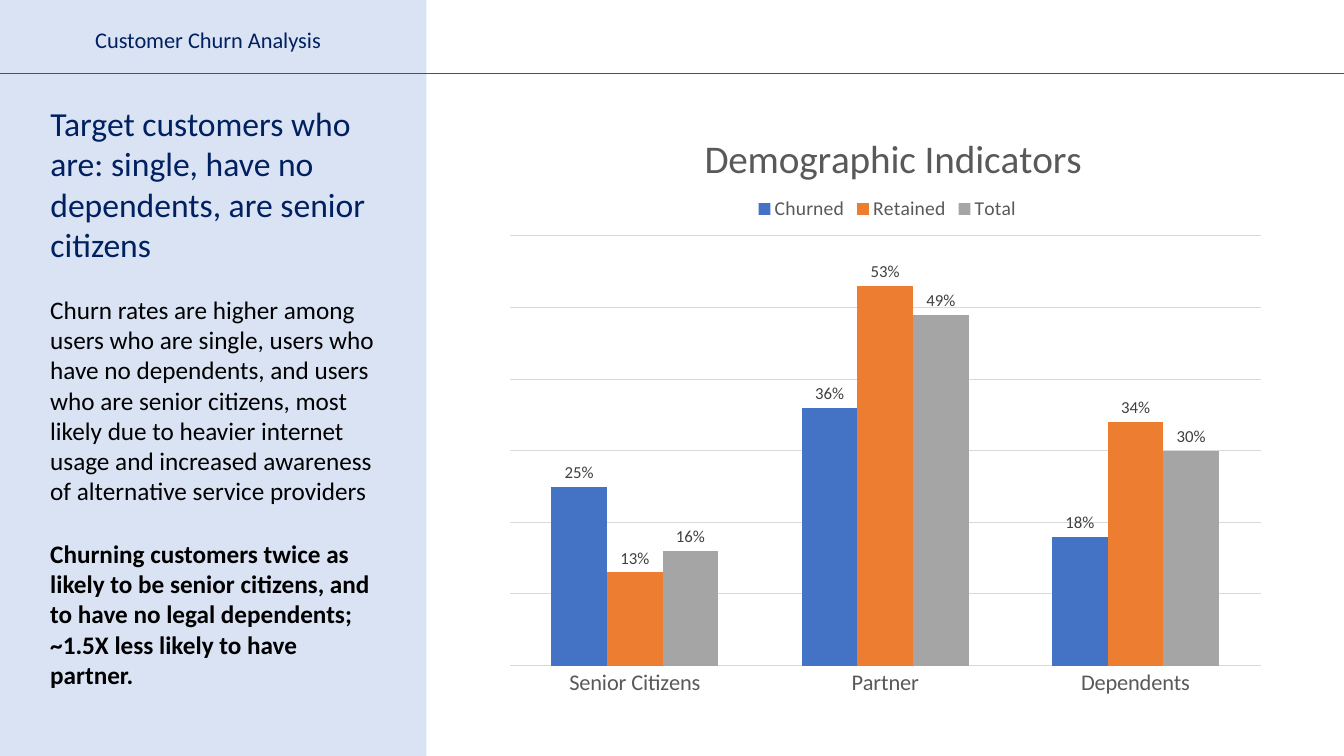
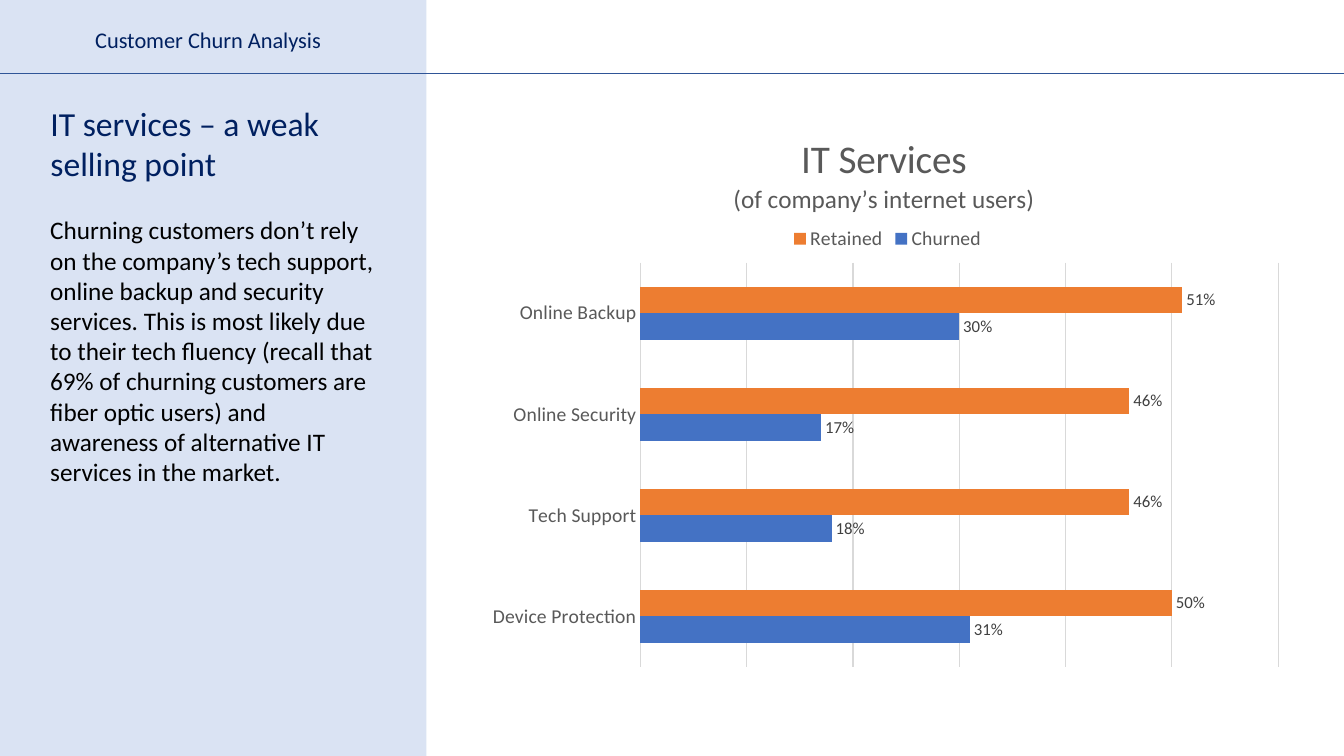
from pptx import Presentation
from pptx.chart.data import CategoryChartData
from pptx.dml.color import RGBColor
from pptx.enum.chart import XL_CHART_TYPE, XL_LABEL_POSITION, XL_LEGEND_POSITION, XL_TICK_MARK
from pptx.enum.shapes import MSO_CONNECTOR, MSO_SHAPE
from pptx.enum.text import MSO_ANCHOR, MSO_AUTO_SIZE, PP_ALIGN
from pptx.oxml.ns import qn
from pptx.util import Inches, Pt
from lxml.etree import SubElement

# Shared look
FONT = "Calibri"
NAVY = RGBColor(0x00, 0x20, 0x60)
BLACK = RGBColor(0x00, 0x00, 0x00)
PANEL = RGBColor(0xDA, 0xE3, 0xF3)
RULE = RGBColor(0x2F, 0x55, 0x97)
GRID = RGBColor(0xD9, 0xD9, 0xD9)
CHART_TEXT = RGBColor(0x59, 0x59, 0x59)
LABEL_TEXT = RGBColor(0x40, 0x40, 0x40)
SERIES_COLORS = {
    "Churned": RGBColor(0x44, 0x72, 0xC4),
    "Retained": RGBColor(0xED, 0x7D, 0x31),
    "Total": RGBColor(0xA5, 0xA5, 0xA5),
}
PANEL_WIDTH = 4.23
TEXT_LEFT, TEXT_WIDTH = 0.4, 3.43

# Content: texts hold (top, height, bold, text); places hold chart fractions
PAGES = [
    {
        "title": "Target customers who are: single, have no dependents, are senior citizens",
        "title_height": 1.72,
        "texts": [
            (2.87, 2.22, False,
             "Churn rates are higher among users who are single, users who have no "
             "dependents, and users who are senior citizens, most likely due to heavier "
             "internet usage and increased awareness of alternative service providers"),
            (5.29, 1.62, True,
             "Churning customers twice as likely to be senior citizens, and to have no "
             "legal dependents; ~1.5X less likely to have partner."),
        ],
        "kind": XL_CHART_TYPE.COLUMN_CLUSTERED,
        "frame": (4.9, 0.94, 7.76, 6.09),
        "chart_title": [("Demographic Indicators", 28)],
        "categories": ["Senior Citizens", "Partner", "Dependents"],
        "series": {
            "Churned": (0.25, 0.36, 0.18),
            "Retained": (0.13, 0.53, 0.34),
            "Total": (0.16, 0.49, 0.3),
        },
        "gap": 150,
        "category_size": 16,
        "places": {"title": (0.26, 0.05), "legend": (0.33, 0.16), "plot": (0.02, 0.23, 0.96, 0.7)},
    },
    {
        "title": "IT services – a weak selling point",
        "title_height": 0.91,
        "texts": [
            (2.08, 3.13, False,
             "Churning customers don’t rely on the company’s tech support, online backup "
             "and security services. This is most likely due to their tech fluency (recall "
             "that 69% of churning customers are fiber optic users) and awareness of "
             "alternative IT services in the market."),
        ],
        "kind": XL_CHART_TYPE.BAR_CLUSTERED,
        "frame": (4.73, 1.08, 8.11, 5.65),
        "chart_title": [("IT Services", 28), ("(of company’s internet users)", 18)],
        "categories": ["Device Protection", "Tech Support", "Online Security", "Online Backup"],
        "series": {
            "Churned": (0.31, 0.18, 0.17, 0.3),
            "Retained": (0.5, 0.46, 0.46, 0.51),
        },
        "gap": 182,
        "category_size": 14,
        "places": {"title": (0.31, 0.04), "legend": (0.38, 0.2), "plot": (0.2, 0.27, 0.78, 0.71)},
    },
]


def write(frame, text, size, color, bold=False, align=PP_ALIGN.LEFT, anchor=MSO_ANCHOR.TOP):
    """Fill a text frame with one formatted paragraph."""
    frame.word_wrap = True
    frame.auto_size = MSO_AUTO_SIZE.NONE
    frame.vertical_anchor = anchor
    para = frame.paragraphs[0]
    para.alignment = align
    span = para.add_run()
    span.text = text
    span.font.name, span.font.size, span.font.bold = FONT, Pt(size), bold
    span.font.color.rgb = color


def place(part, index, fractions):
    """Fix a chart part at x, y (and width, height) as fractions of the chart."""
    for old in part.findall(qn("c:layout")):
        part.remove(old)
    layout = SubElement(part, qn("c:layout"))
    part.insert(index, layout)
    manual = SubElement(layout, qn("c:manualLayout"))
    if len(fractions) == 4:
        SubElement(manual, qn("c:layoutTarget")).set("val", "inner")
    for mode in ("xMode", "yMode"):
        SubElement(manual, qn(f"c:{mode}")).set("val", "edge")
    for name, value in zip("xywh", fractions):
        SubElement(manual, qn(f"c:{name}")).set("val", str(value))


deck = Presentation()
deck.slide_width, deck.slide_height = Inches(13.33), Inches(7.5)

for content in PAGES:
    page = deck.slides.add_slide(deck.slide_layouts[5])

    # Side panel, behind the title
    panel = page.shapes.add_shape(MSO_SHAPE.RECTANGLE, 0, 0, Inches(PANEL_WIDTH), deck.slide_height)
    panel.shadow.inherit = False
    panel.fill.solid()
    panel.fill.fore_color.rgb = PANEL
    panel.line.fill.background()
    title = page.shapes.title
    title._element.addprevious(panel._element)

    # Title and body texts
    title.left, title.top = Inches(TEXT_LEFT), Inches(0.97)
    title.width, title.height = Inches(TEXT_WIDTH), Inches(content["title_height"])
    write(title.text_frame, content["title"], 24, NAVY)
    for top, height, bold, text in content["texts"]:
        box = page.shapes.add_textbox(Inches(TEXT_LEFT), Inches(top), Inches(TEXT_WIDTH), Inches(height))
        write(box.text_frame, text, 18, BLACK, bold=bold)

    # Running header and rule
    header = page.shapes.add_textbox(Inches(-0.05), Inches(0.21), Inches(PANEL_WIDTH), Inches(0.37))
    write(header.text_frame, "Customer Churn Analysis", 16, NAVY,
          align=PP_ALIGN.CENTER, anchor=MSO_ANCHOR.MIDDLE)
    rule = page.shapes.add_connector(MSO_CONNECTOR.STRAIGHT, 0, Inches(0.73), deck.slide_width, Inches(0.73))
    rule.line.color.rgb = RULE
    rule.line.width = Pt(0.5)
    SubElement(rule._element.spPr, qn("a:effectLst"))

    # Chart
    data = CategoryChartData(number_format="0%")
    data.categories = content["categories"]
    for name, values in content["series"].items():
        data.add_series(name, values)
    frame = [Inches(length) for length in content["frame"]]
    chart = page.shapes.add_chart(content["kind"], *frame, data).chart
    chart.font.name, chart.font.size = FONT, Pt(10)
    chart.font.color.rgb = BLACK

    # Chart title and legend
    chart.has_title = True
    heading = chart.chart_title.text_frame
    for index, (text, size) in enumerate(content["chart_title"]):
        para = heading.add_paragraph() if index else heading.paragraphs[0]
        span = para.add_run()
        span.text = text
        span.font.name, span.font.size, span.font.bold = FONT, Pt(size), False
        span.font.color.rgb = CHART_TEXT
    chart.has_legend = True
    legend = chart.legend
    legend.position = XL_LEGEND_POSITION.TOP
    legend.include_in_layout = False
    legend.font.name, legend.font.size = FONT, Pt(14)
    legend.font.color.rgb = CHART_TEXT

    # Axes
    categories = chart.category_axis
    categories.major_tick_mark = XL_TICK_MARK.NONE
    categories.format.line.color.rgb = GRID
    categories.format.line.width = Pt(0.75)
    categories.tick_labels.font.name = FONT
    categories.tick_labels.font.size = Pt(content["category_size"])
    categories.tick_labels.font.color.rgb = CHART_TEXT
    values = chart.value_axis
    values.visible = False
    values.minimum_scale, values.maximum_scale, values.major_unit = 0, 0.6, 0.1
    values.has_major_gridlines = True
    values.major_gridlines.format.line.color.rgb = GRID
    values.major_gridlines.format.line.width = Pt(0.75)

    # Bars and their labels
    plot = chart.plots[0]
    plot.gap_width, plot.overlap = content["gap"], 0
    plot.vary_by_categories = False
    for series in plot.series:
        series.format.fill.solid()
        series.format.fill.fore_color.rgb = SERIES_COLORS[series.name]
        labels = series.data_labels
        labels.show_value = True
        labels.position = XL_LABEL_POSITION.OUTSIDE_END
        labels.number_format, labels.number_format_is_linked = "0%", False
        labels.font.name, labels.font.size = FONT, Pt(12)
        labels.font.color.rgb = LABEL_TEXT

    # Positions inside the chart
    places = content["places"]
    place(chart.chart_title._element, 1, places["title"])
    place(legend._element, 1, places["legend"])
    place(chart._chartSpace.chart.plotArea, 0, places["plot"])

deck.save("out.pptx")
